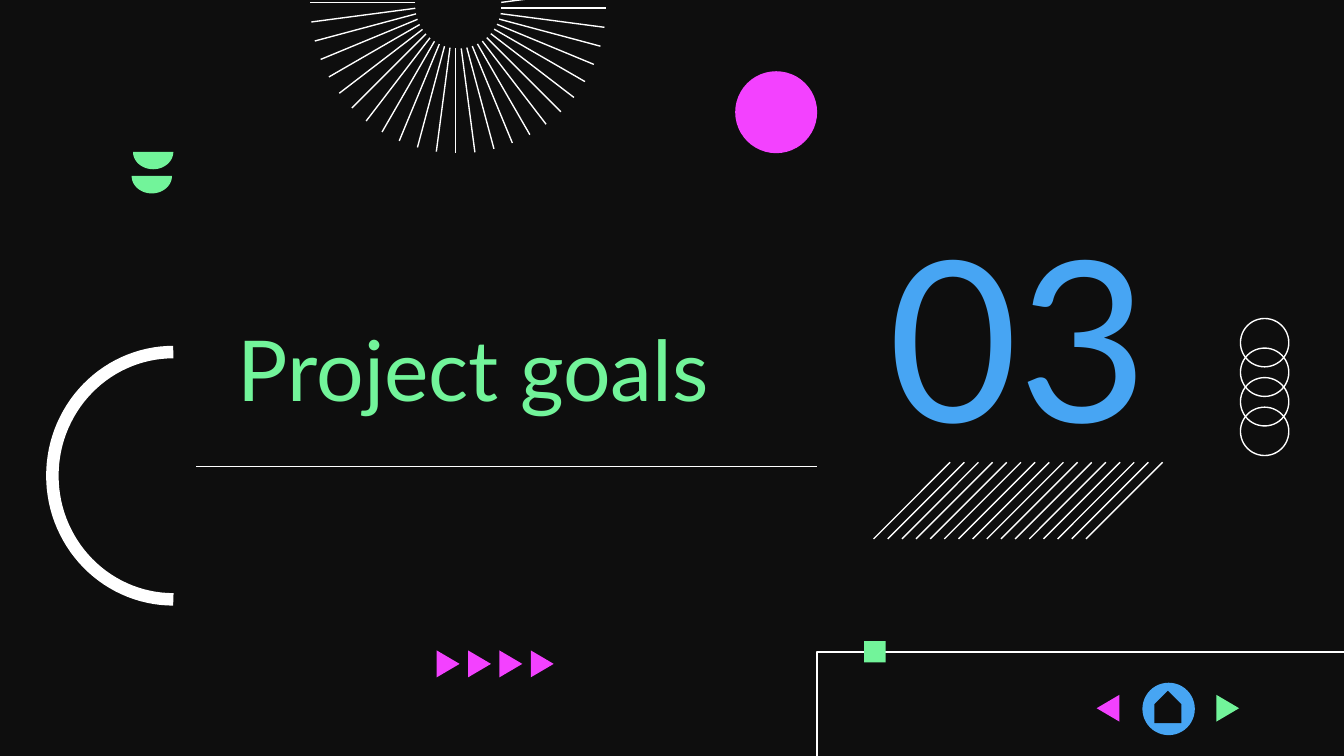
from math import cos, radians, sin

from pptx import Presentation
from pptx.dml.color import RGBColor
from pptx.enum import shapes, text
from pptx.oxml.ns import qn
from pptx.util import Inches, Pt
from lxml import etree

BLACK = RGBColor(0x0E, 0x0E, 0x0E)
WHITE = RGBColor(0xFF, 0xFF, 0xFF)
GREEN = RGBColor(0x72, 0xF4, 0x9A)
PINK = RGBColor(0xF3, 0x41, 0xFF)
BLUE = RGBColor(0x47, 0xA5, 0xF3)

WIDTH = 10
HEIGHT = WIDTH * 9 / 16
THIN, THICK = 0.75, 6.69

HEADING = dict(words="Project goals", place=(1.67, 2.36, 4.93, 1.41), size=45,
               color=GREEN, align=text.PP_ALIGN.LEFT, after=12)
NUMBER = dict(words="03", place=(6.17, 1.48, 2.82, 1.75), size=120,
              color=BLUE, align=text.PP_ALIGN.CENTER, after=0)

RINGS = dict(left=9.23, top=2.37, size=0.36, step=0.22, count=4)
SUNBURST = dict(x=3.41, y=0.04, inner=0.32, outer=1.1, shift=0.02, step=7.5)
STRIPES = dict(left=6.5, right=8.08, top=3.44, size=0.57, count=16)
HALF_DISCS = [(1.13, 1.31), (1.14, 1.13)]
ARROWS = [(3.25 + 0.7 * i / 3, 4.84, 1, PINK) for i in range(4)]
ARROWS += [(8.33, 5.17, -1, PINK), (9.05, 5.17, 1, GREEN)]


def paint(shape, fill=None, line=None, weight=THIN):
    shape.shadow.inherit = False
    if fill is None:
        shape.fill.background()
    else:
        shape.fill.solid()
        shape.fill.fore_color.rgb = fill
    if line is None:
        shape.line.fill.background()
    else:
        shape.line.color.rgb = line
        shape.line.width = Pt(weight)


def add_preset(page, kind, place, **colors):
    shape = page.shapes.add_shape(kind, *map(Inches, place))
    paint(shape, **colors)
    return shape


def add_outline(page, points, close=True, **colors):
    corners = [(Inches(x), Inches(y)) for x, y in points]
    builder = page.shapes.build_freeform(*corners[0], scale=1.0)
    builder.add_line_segments(corners[1:], close=close)
    paint(builder.convert_to_shape(), **colors)


def add_line(page, start, end):
    line = page.shapes.add_connector(
        shapes.MSO_CONNECTOR.STRAIGHT, *map(Inches, (*start, *end)))
    line.line.color.rgb = WHITE
    line.line.width = Pt(THIN)
    etree.SubElement(line._element.spPr, qn("a:effectLst"))


def arc_points(x, y, across, down, first, last, steps=60):
    angles = [radians(first + (last - first) * i / steps) for i in range(steps + 1)]
    return [(x + across * cos(a), y + down * sin(a)) for a in angles]


def write(box, words, place, size, color, align, after):
    box.left, box.top, box.width, box.height = map(Inches, place)
    frame = box.text_frame
    settings = dict(word_wrap=True, auto_size=text.MSO_AUTO_SIZE.NONE,
                    vertical_anchor=text.MSO_ANCHOR.TOP,
                    margin_left=Inches(0.1), margin_right=Inches(0.1),
                    margin_top=0, margin_bottom=Inches(0.1))
    for name, value in settings.items():
        setattr(frame, name, value)
    para = frame.paragraphs[0]
    para.alignment = align
    para.space_after = Pt(after)
    span = para.add_run()
    span.text = words
    for name, value in dict(name="Lato", size=Pt(size), bold=False).items():
        setattr(span.font, name, value)
    span.font.color.rgb = color


def add_sunburst(page, x, y, inner, outer, shift, step):
    for i in range(-1, 25):
        angle = radians(i * step)
        across, down = cos(angle), sin(angle)
        start, end = [(x + r * across - shift * down, y + r * down + shift * across)
                      for r in (inner, outer)]
        add_line(page, start, end)


def add_stripes(page, left, right, top, size, count):
    for i in range(count):
        x = left + (right - left) * i / (count - 1)
        add_line(page, (x + size, top), (x, top + size))


def add_rings(page, left, top, size, step, count):
    for i in range(count):
        add_preset(page, shapes.MSO_SHAPE.OVAL,
                   (left, top + i * step, size, size), line=WHITE)


def add_frame(page):
    add_outline(page, [(WIDTH, 4.85), (6.08, 4.85), (6.08, HEIGHT)],
                close=False, line=WHITE)
    add_preset(page, shapes.MSO_SHAPE.RECTANGLE, (6.43, 4.77, 0.16, 0.16), fill=GREEN)


def add_home(page):
    add_preset(page, shapes.MSO_SHAPE.OVAL, (8.5, 5.08, 0.39, 0.39), fill=BLUE)
    house = add_preset(page, shapes.MSO_SHAPE.PENTAGON, (8.57, 5.16, 0.24, 0.2), fill=BLACK)
    house.adjustments[0] = 0.5
    house.rotation = 270


def main():
    deck = Presentation()
    deck.slide_width, deck.slide_height = Inches(WIDTH), Inches(HEIGHT)
    page = deck.slides.add_slide(deck.slide_layouts[5])
    page.background.fill.solid()
    page.background.fill.fore_color.rgb = BLACK

    add_rings(page, **RINGS)
    add_preset(page, shapes.MSO_SHAPE.OVAL, (5.47, 0.53, 0.61, 0.61), fill=PINK)
    add_frame(page)
    for x, y in HALF_DISCS:
        add_outline(page, arc_points(x, y, 0.15, 0.13, 0, 180), fill=GREEN)
    add_sunburst(page, **SUNBURST)

    write(page.shapes.title, **HEADING)
    write(page.shapes.add_textbox(0, 0, 0, 0), **NUMBER)
    add_line(page, (1.46, 3.47), (6.08, 3.47))

    add_outline(page, arc_points(1.29, 3.54, 0.9, 0.92, 90, 270),
                close=False, line=WHITE, weight=THICK)
    add_stripes(page, **STRIPES)
    add_home(page)
    for x, y, way, color in ARROWS:
        add_outline(page, [(x, y), (x + way * 0.17, y + 0.1), (x, y + 0.2)], fill=color)

    deck.save("out.pptx")


if __name__ == "__main__":
    main()
